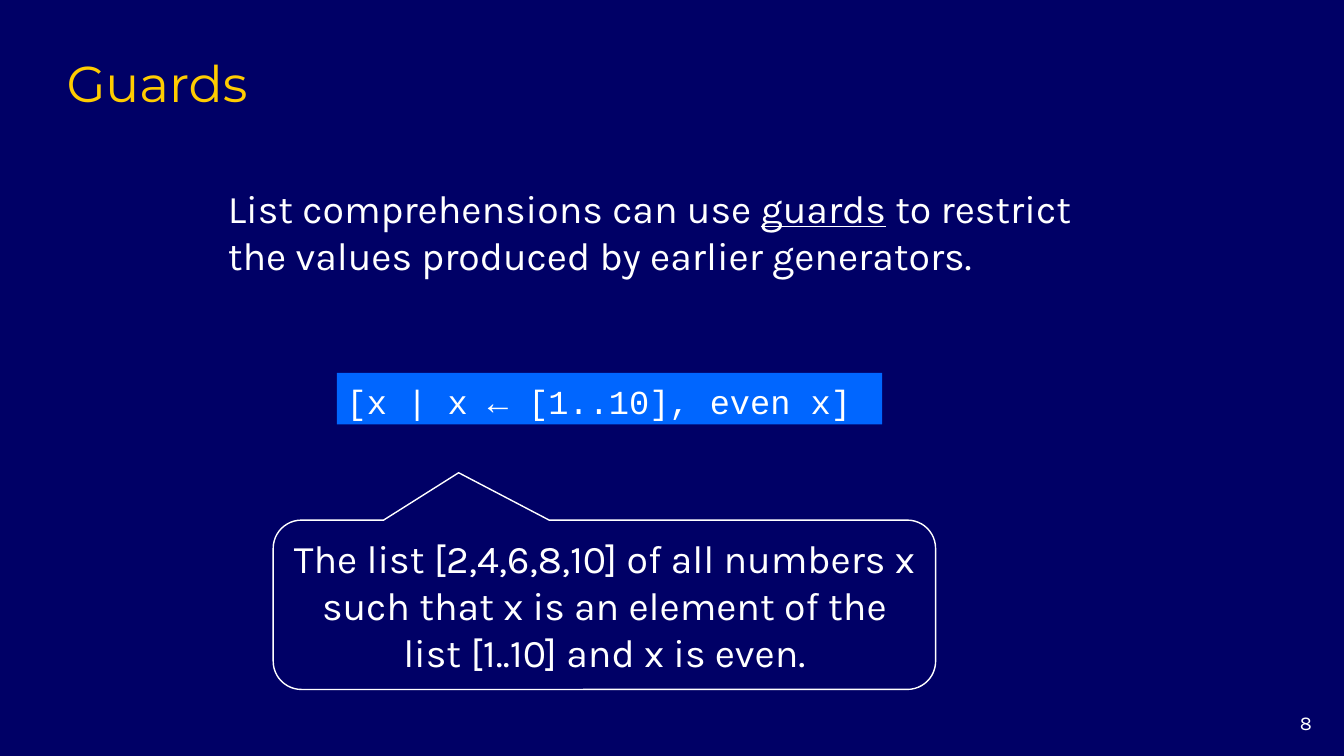
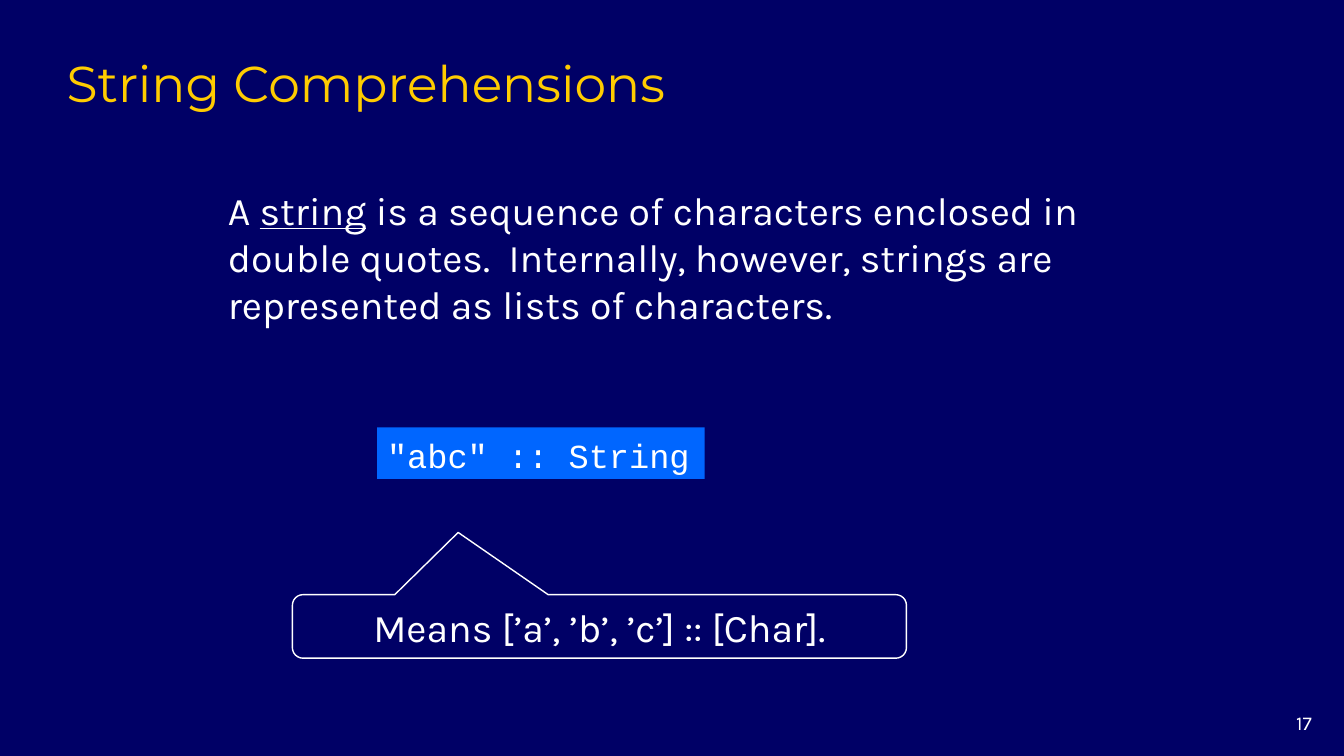
import dataclasses

import pptx
import pptx.dml.color
import pptx.enum.shapes
import pptx.enum.text
import pptx.oxml.xmlchemy
import pptx.util
from lxml import etree

Inches = pptx.util.Inches
Align = pptx.enum.text.PP_ALIGN
Anchor = pptx.enum.text.MSO_ANCHOR
Shape = pptx.enum.shapes.MSO_SHAPE


@dataclasses.dataclass(frozen=True)
class Theme:
    background: str = "000066"
    code_fill: str = "0066FF"
    text: str = "FFFFFF"
    title: str = "FFCC00"
    title_font: str = "Montserrat"
    body_font: str = "Karla"
    code_font: str = "Courier New"
    title_size: int = 36
    body_size: int = 28
    code_size: int = 24
    number_size: int = 14
    outline_width: int = 1


def color(value):
    return pptx.dml.color.RGBColor.from_string(value)


class Deck:
    """Builds lecture slides in one shared style."""

    def __init__(self, theme):
        self.theme = theme
        self.presentation = pptx.Presentation()
        self.presentation.slide_width = Inches(13.33)
        self.presentation.slide_height = Inches(7.5)
        fill = self.presentation.slide_master.background.fill
        fill.solid()
        fill.fore_color.rgb = color(theme.background)
        self.slide = None

    def place(self, shape, left, top, width, height):
        shape.left, shape.top = Inches(left), Inches(top)
        shape.width, shape.height = Inches(width), Inches(height)

    def format(self, shape, font_name, size, font_color, align=Align.LEFT,
               anchor=Anchor.MIDDLE, wrap=True):
        frame = shape.text_frame
        frame.word_wrap = wrap
        frame.auto_size = pptx.enum.text.MSO_AUTO_SIZE.NONE
        frame.vertical_anchor = anchor
        paragraph = frame.paragraphs[0]
        paragraph.alignment = align
        for run in paragraph.runs:
            run.font.name = font_name
            run.font.size = pptx.util.Pt(size)
            run.font.color.rgb = color(font_color)
        return paragraph

    def add_slide(self, title, number):
        theme = self.theme
        layout = self.presentation.slide_layouts[1]
        self.slide = self.presentation.slides.add_slide(layout)
        heading = self.slide.shapes.title
        self.place(heading, 0.56, 0.42, 11.33, 0.75)
        heading.text_frame.text = title
        self.format(heading, theme.title_font, theme.title_size, theme.title,
                    anchor=Anchor.BOTTOM)
        page = self.slide.shapes.add_textbox(
            Inches(12.22), Inches(7), Inches(0.89), Inches(0.33))
        page.text_frame.text = str(number)
        self.format(page, theme.body_font, theme.number_size, theme.text,
                    Align.RIGHT, Anchor.TOP)

    def add_body(self, before, term, after, top, width, height):
        theme = self.theme
        body = self.slide.placeholders[1]
        self.place(body, 2.16, top, width, height)
        paragraph = body.text_frame.paragraphs[0]
        for text in (before, term, after):
            run = paragraph.add_run()
            run.text = text
            run.font.underline = text == term
        self.format(body, theme.body_font, theme.body_size, theme.text)
        paragraph.space_before = pptx.util.Pt(0)
        properties = paragraph._p.get_or_add_pPr()
        properties.set("marL", "0")
        properties.set("indent", "0")
        etree.SubElement(properties, pptx.oxml.ns.qn("a:buNone"))

    def add_shape(self, kind, text, left, top, width, height):
        shape = self.slide.shapes.add_shape(
            kind, Inches(left), Inches(top), Inches(width), Inches(height))
        shape.shadow.inherit = False
        shape.text_frame.text = text
        return shape

    def add_code(self, text, left, top, width):
        theme = self.theme
        shape = self.add_shape(Shape.RECTANGLE, text, left, top, width, 0.51)
        shape.fill.solid()
        shape.fill.fore_color.rgb = color(theme.code_fill)
        shape.line.fill.background()
        paragraph = self.format(shape, theme.code_font, theme.code_size,
                                theme.text, wrap=False)
        paragraph.line_spacing = 1.1

    def add_callout(self, text, left, top, width, height, tip):
        theme = self.theme
        shape = self.add_shape(Shape.ROUNDED_RECTANGULAR_CALLOUT, text,
                               left, top, width, height)
        shape.adjustments[0], shape.adjustments[1] = tip
        shape.fill.background()
        shape.line.color.rgb = color(theme.text)
        shape.line.width = pptx.util.Pt(theme.outline_width)
        self.format(shape, theme.body_font, theme.body_size, theme.text,
                    Align.CENTER)


def main():
    deck = Deck(Theme())

    deck.add_slide("Guards", 8)
    deck.add_body("List comprehensions can use ", "guards",
                  " to restrict the values produced by earlier generators.",
                  1.78, 8.98, 1.03)
    deck.add_code("[x | x ← [1..10], even x]", 3.34, 3.7, 5.41)
    deck.add_callout("The list [2,4,6,8,10] of all numbers x such that x is "
                     "an element of the list [1..10] and x is even.",
                     2.71, 5.16, 6.57, 1.68, (-0.22, -0.78))

    deck.add_slide("String Comprehensions", 17)
    deck.add_body("A ", "string",
                  " is a sequence of characters enclosed in double quotes.  "
                  "Internally, however, strings are represented as lists of "
                  "characters.", 1.8, 9.15, 1.5)
    deck.add_code('"abc" :: String', 3.74, 4.24, 3.25)
    deck.add_callout("Means [’a’, ’b’, ’c’] :: [Char].",
                     2.9, 5.9, 6.09, 0.63, (-0.23, -1.48))

    deck.presentation.save("out.pptx")


if __name__ == "__main__":
    main()
